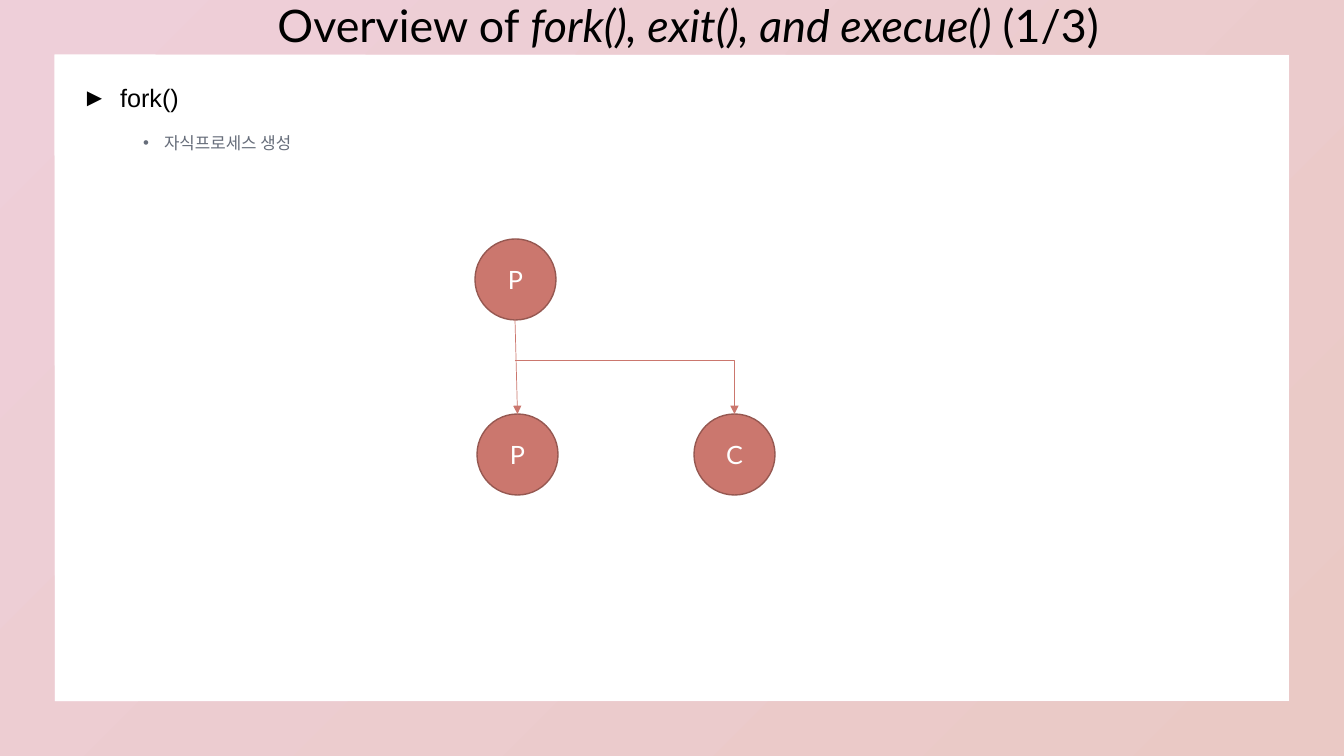
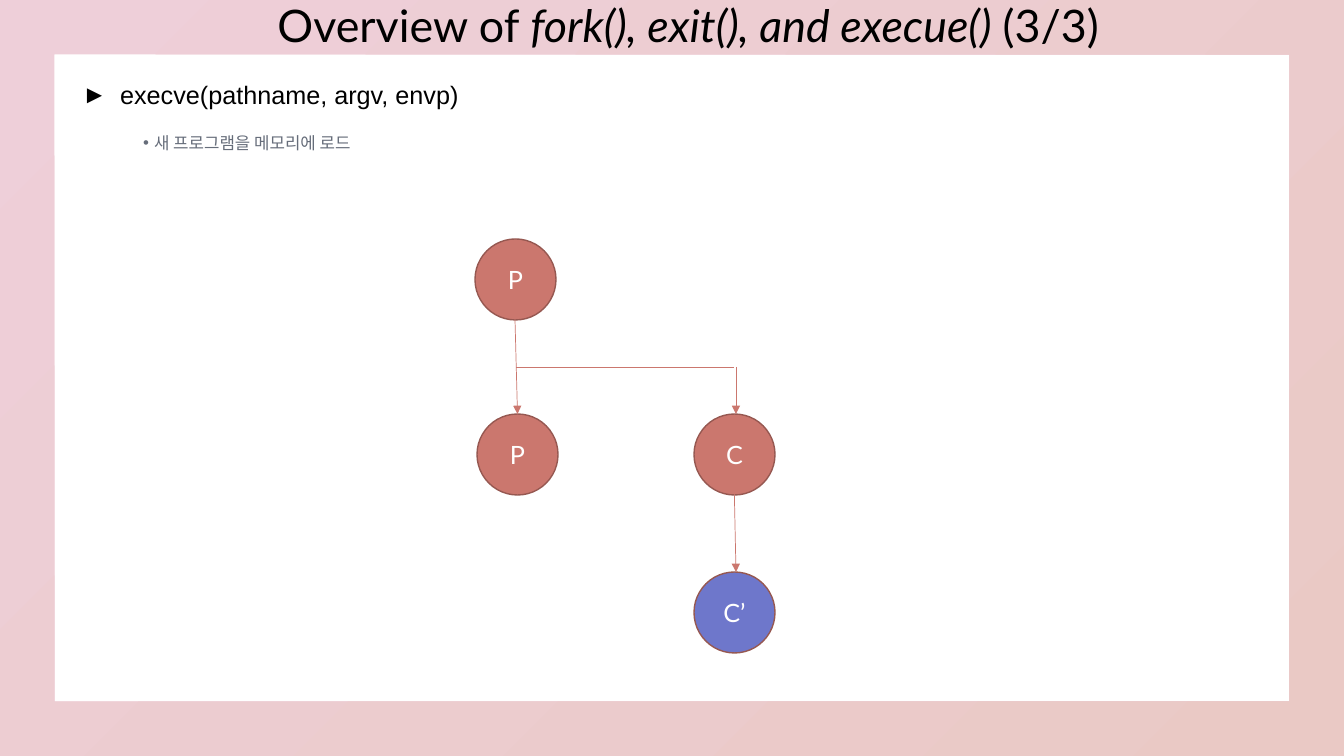
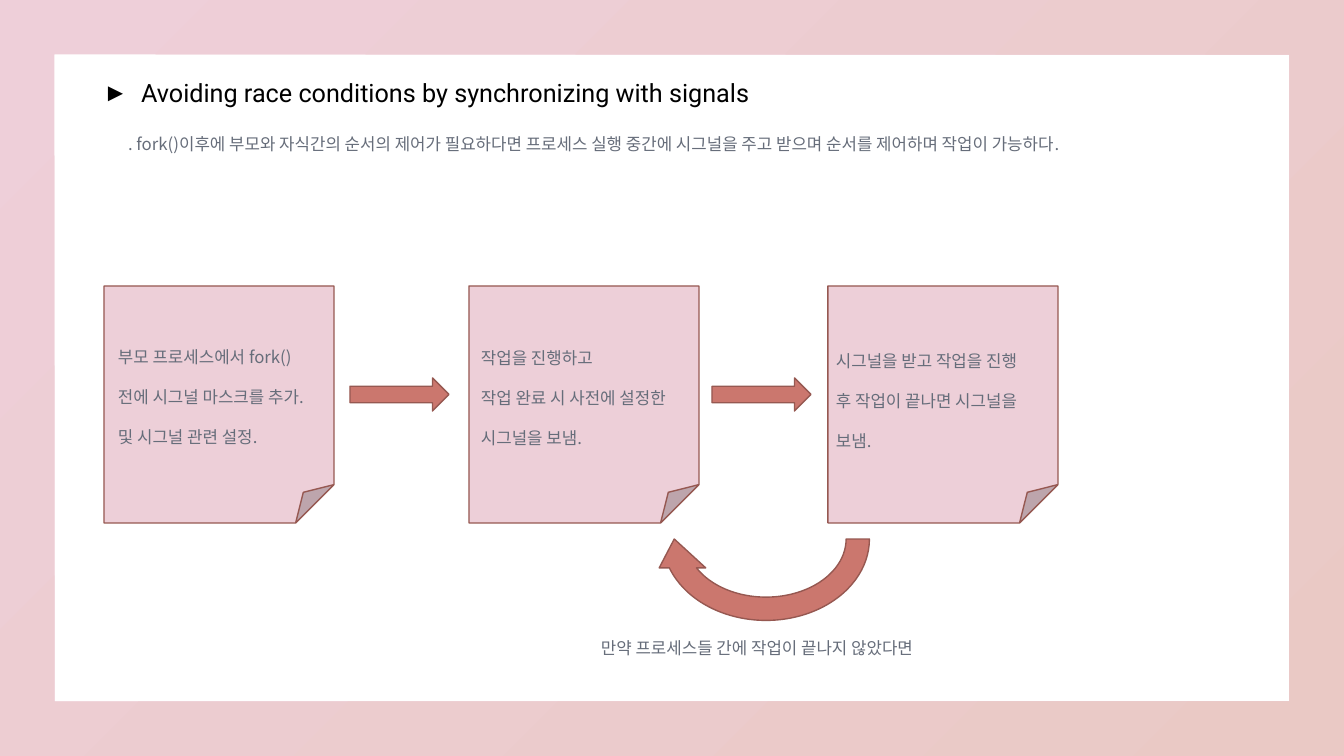
from lxml import etree
from pptx import Presentation
from pptx.dml.color import RGBColor
from pptx.enum.shapes import MSO_CONNECTOR, MSO_SHAPE
from pptx.enum.text import MSO_ANCHOR, MSO_AUTO_SIZE, PP_ALIGN
from pptx.oxml.ns import qn
from pptx.util import Pt

PX = 12192000 / 1344
LEFT, CENTER = PP_ALIGN.LEFT, PP_ALIGN.CENTER
MIDDLE, TOP = MSO_ANCHOR.MIDDLE, MSO_ANCHOR.TOP
FIXED = MSO_AUTO_SIZE.NONE
STRAIGHT, ELBOW = MSO_CONNECTOR.STRAIGHT, MSO_CONNECTOR.ELBOW
FRAME, CIRCLE, NOTE = MSO_SHAPE.FRAME, MSO_SHAPE.OVAL, MSO_SHAPE.FOLDED_CORNER
RIGHT_ARROW, RETURN_ARROW = MSO_SHAPE.RIGHT_ARROW, MSO_SHAPE.CIRCULAR_ARROW

BLACK, WHITE, GREY = "000000", "FFFFFF", "666D7A"
RED, DARK_RED, BLUE, PINK = "CB776E", "965851", "6E77CB", "EDCFD8"
FRAME_START, FRAME_END = "EECFD9", "EAC9C5"
LATIN, KOREAN = "Lato", "Noto Sans CJK KR"


def paint(fill, colour):
    fill.solid()
    fill.fore_color.rgb = RGBColor.from_string(colour)


def write(box, text, font, size, colour, align=LEFT, anchor=TOP,
          spacing=1.0, before=0, start=0, hang=0, bullet=""):
    """Fill a box with one paragraph; start and hang are indents in px."""
    frame = box.text_frame
    frame.text = text
    frame.word_wrap = True
    frame.auto_size = FIXED
    frame.vertical_anchor = anchor
    para = frame.paragraphs[0]
    para.alignment = align
    para.line_spacing = spacing
    para.space_before = Pt(before)
    for span in para.runs:
        span.font.size = Pt(size)
        span.font.name = font
        paint(span.font.fill, colour)
    for latin in list(box.element.iter(qn("a:latin"))):
        east_asian = etree.Element(qn("a:ea"), typeface=font)
        latin.addnext(east_asian)
    for props in box.element.iter(qn("a:pPr")):
        props.set("marL", str(round((start + hang) * PX)))
        props.set("indent", str(round(-hang * PX)))
        if bullet:
            etree.SubElement(props, qn("a:buFont"), typeface="Arial")
            etree.SubElement(props, qn("a:buChar"), char=bullet)
        else:
            etree.SubElement(props, qn("a:buNone"))


deck = Presentation()
deck.slide_width, deck.slide_height = round(1344 * PX), round(756 * PX)
layout = deck.slide_layouts[1]
note_style = dict(font=KOREAN, size=12, colour=GREY, spacing=1.1, before=10, start=25)

# Title and first line of each page: text, font, box, then text, box, bullet, hang
headings = [
    ("fork()", "Arial", (72, 86, 147, 26),
     "자식프로세스 생성", (108, 126, 666, 43), "•", 21),
    ("execve(pathname, argv, envp)", "Arial", (72, 78, 446, 36),
     "새 프로그램을 메모리에 로드", (108, 126, 666, 43), "•", 11),
    ("Avoiding race conditions by synchronizing with signals", "Roboto", (93, 75, 976, 38),
     ". fork()이후에 부모와 자식간의 순서의 제어가 필요하다면 프로세스 실행 중간에 "
     "시그널을 주고 받으며 순서를 제어하며 작업이 가능하다.", (93, 127, 1159, 38), "", 0),
]
pages = []
for title_text, title_font, title_at, body_text, body_at, bullet, hang in headings:
    page = deck.slides.add_slide(layout)
    pages.append(page)
    title, body = page.shapes.title, page.placeholders[1]
    for box, at in ((title, title_at), (body, body_at)):
        box.left, box.top, box.width, box.height = [round(n * PX) for n in at]
    write(title, title_text, title_font, 18, BLACK, anchor=MIDDLE,
          spacing=0.9, hang=38, bullet="►")
    write(body, body_text, bullet=bullet, hang=hang, **note_style)

# Gradient frame, placed on the master behind every page
border = pages[0].shapes.add_shape(FRAME, 0, 0, deck.slide_width, deck.slide_height)
border.adjustments[0] = 0.072
border.shadow.inherit = False
border.line.fill.background()
border.fill.gradient()
border.fill.gradient_angle = 315
for stop, colour in zip(border.fill.gradient_stops, (FRAME_START, FRAME_END)):
    stop.color.rgb = RGBColor.from_string(colour)
border.element.xpath("./p:nvSpPr/p:cNvPr")[0].set("id", "20")
deck.slide_master.element.cSld.spTree.insert(2, border.element)

# Process trees: circles (label, left, top, fill) and
# lines (kind, from, to, arrowhead, index of the circle joined at its top)
tree = [("P", 475, 239, RED), ("P", 477, 414, RED), ("C", 694, 414, RED)]
stem = (STRAIGHT, (515, 319), (517, 414), True, 1)
diagrams = [
    ("(1/3) ", tree, [stem, (ELBOW, (515, 360), (734, 414), True, 2)]),
    ("(3/3) ", tree + [("C’", 694, 572, BLUE)], [
        stem,
        (STRAIGHT, (736, 367), (736, 414), True, None),
        (STRAIGHT, (734, 367), (516, 367), False, None),
        (STRAIGHT, (734, 476), (736, 572), True, None),
    ]),
]
for page, (number, circles, lines) in zip(pages, diagrams):
    # Headline above the frame
    headline = page.shapes.add_textbox(*[round(n * PX) for n in (216, -7, 956, 65)])
    write(headline, "Overview of ", LATIN, 32, BLACK, align=CENTER)
    para = headline.text_frame.paragraphs[0]
    for text, italic in (("fork(), exit(), and execue() ", True), (number, False)):
        span = para.add_run()
        span.text = text
        span.font.size, span.font.name, span.font.italic = Pt(32), LATIN, italic
        paint(span.font.fill, BLACK)

    nodes = []
    for label, left, top, colour in circles:
        node = page.shapes.add_shape(CIRCLE, *[round(n * PX) for n in (left, top, 81, 81)])
        node.shadow.inherit = False
        paint(node.fill, colour)
        paint(node.line.fill, DARK_RED)
        node.line.width = Pt(1)
        write(node, label, LATIN, 18, WHITE, align=CENTER, anchor=MIDDLE)
        nodes.append(node)

    for kind, begin, end, arrow, target in lines:
        line = page.shapes.add_connector(kind, *[round(n * PX) for n in begin + end])
        if target is not None:
            line.end_connect(nodes[target], 0)
        paint(line.line.fill, RED)
        line.line.width = Pt(0.5)
        if arrow:
            etree.SubElement(line.element.spPr.find(qn("a:ln")), qn("a:tailEnd"), type="triangle")
        if kind == ELBOW:
            line.element.spPr.find(qn("a:prstGeom")).set("prst", "bentConnector2")
        etree.SubElement(line.element.spPr, qn("a:effectLst"))

# Signal flow: notes, arrows between them and the way back
page = pages[2]
flow = [(NOTE, left, 286, 230, 237, PINK, 0) for left in (104, 469, 828)]
flow += [(RIGHT_ARROW, left, 378, 99, 33, RED, 0) for left in (350, 712)]
flow.append((RETURN_ARROW, 651, 446, 230, 186, RED, 180))
for kind, left, top, width, height, colour, turn in flow:
    shape = page.shapes.add_shape(kind, *[round(n * PX) for n in (left, top, width, height)])
    shape.rotation = turn
    shape.shadow.inherit = False
    paint(shape.fill, colour)
    paint(shape.line.fill, DARK_RED)
    shape.line.width = Pt(1)

# Lines of text on the notes, and the caption of the way back
steps = [
    (83, 340, 266, ["부모 프로세스에서 fork()", "전에 시그널 마스크를 추가.", "및 시그널 관련 설정."]),
    (446, 341, 266, ["작업을 진행하고", "작업 완료 시 사전에 설정한", "시그널을 보냄."]),
    (801, 344, 266, ["시그널을 받고 작업을 진행", "후 작업이 끝나면 시그널을", "보냄."]),
    (566, 631, 400, ["만약 프로세스들 간에 작업이 끝나지 않았다면"]),
]
for left, top, width, texts in steps:
    for row, text in enumerate(texts):
        box = page.shapes.add_textbox(*[round(n * PX) for n in (left, top + 40 * row, width, 38)])
        write(box, text, **note_style)

deck.save("out.pptx")
